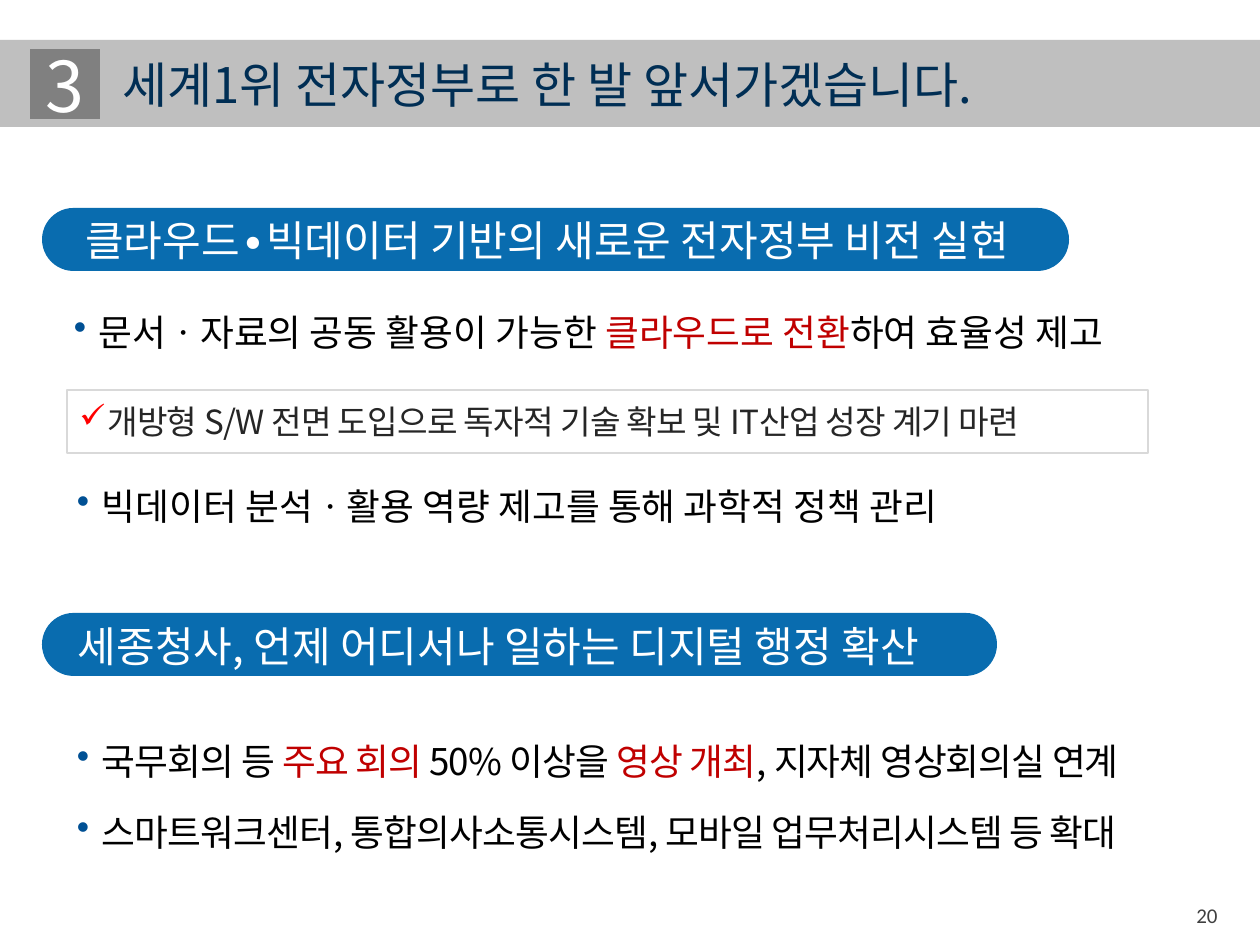
import pptx
import pptx.util
import pptx.dml.color
import pptx.enum.shapes
import pptx.enum.text
import pptx.oxml
import pptx.oxml.ns

RGB = pptx.dml.color.RGBColor
KIND = pptx.enum.shapes.MSO_SHAPE
ALIGN = pptx.enum.text.PP_ALIGN
ANCHOR = pptx.enum.text.MSO_ANCHOR
NAVY = RGB(0x00, 0x2E, 0x54)
BLUE = RGB(0x09, 0x6C, 0xAF)
DOT = RGB(0x00, 0x50, 0x94)
WHITE = RGB(0xFF, 0xFF, 0xFF)
BLACK = RGB(0x00, 0x00, 0x00)
CRIMSON = RGB(0xC0, 0x00, 0x00)
RED = RGB(0xFF, 0x00, 0x00)
INK = RGB(0x26, 0x26, 0x26)
DARK = RGB(0x40, 0x40, 0x40)
GRAY = RGB(0x80, 0x80, 0x80)
SILVER = RGB(0xBF, 0xBF, 0xBF)
PALE = RGB(0xD9, 0xD9, 0xD9)
KOREAN = "Noto Sans CJK KR"
PX = 914400 / 126


def place(kind, box, fill, line=None):
    shape = slide.shapes.add_shape(kind, *[round(n * PX) for n in box])
    shape.shadow.inherit = False
    shape.fill.solid()
    shape.fill.fore_color.rgb = fill
    if line:
        shape.line.color.rgb = line
        shape.line.width = pptx.util.Pt(1)
    else:
        shape.line.fill.background()
    return shape


def write(para, parts, size, color, face=KOREAN, bullet=None, track=0):
    para.alignment = ALIGN.LEFT
    para.font.size = pptx.util.Pt(size)
    para.font.name = face
    para.font.color.rgb = color
    props = para._p.get_or_add_pPr()
    mark = props.find(pptx.oxml.ns.qn("a:defRPr"))
    space = pptx.oxml.ns.nsdecls("a")
    latin = mark.find(pptx.oxml.ns.qn("a:latin"))
    latin.addnext(pptx.oxml.parse_xml(f'<a:ea {space} typeface="{face}"/>'))
    if bullet:
        sign, tint, indent = bullet
        props.set("marL", str(round(indent * PX)))
        props.set("indent", str(-round(indent * PX)))
        for xml in (f'<a:buClr {space}><a:srgbClr val="{tint}"/></a:buClr>',
                    f'<a:buChar {space} char="{sign}"/>'):
            mark.addprevious(pptx.oxml.parse_xml(xml))
    for words, tone in parts:
        run = para.add_run()
        run.text = words
        if tone:
            run.font.color.rgb = tone
        if track:
            run._r.get_or_add_rPr().set("spc", str(track))


deck = pptx.Presentation()
deck.slide_width = round(1260 * PX)
deck.slide_height = round(945 * PX)
slide = deck.slides.add_slide(deck.slide_layouts[5])

band = place(KIND.RECTANGLE, (0, 40, 1260, 87), SILVER)
slide.shapes._spTree.insert(2, band._element)
title = slide.shapes.title
title.left, title.top, title.width, title.height = [
    round(n * PX) for n in (110, 48, 928, 72)]
title.text_frame.vertical_anchor = ANCHOR.MIDDLE
write(title.text_frame.paragraphs[0],
      [("세계1위 전자정부로 한 발 앞서가겠습니다.", None)], 28, NAVY)

badge = place(KIND.RECTANGLE, (30, 49, 70, 70), GRAY)
badge.text_frame.vertical_anchor = ANCHOR.MIDDLE
write(badge.text_frame.paragraphs[0], [("3", None)], 40, WHITE)
badge.text_frame.paragraphs[0].alignment = ALIGN.CENTER

for top, width in ((208, 1027), (613, 955)):
    pill = place(KIND.ROUNDED_RECTANGLE, (42, top, width, 63), BLUE)
    pill.adjustments[0] = 0.5

note = place(KIND.RECTANGLE, (67, 390, 1081, 63), WHITE, PALE)
note.text_frame.vertical_anchor = ANCHOR.MIDDLE
note.text_frame.word_wrap = True
write(note.text_frame.paragraphs[0],
      [("개방형 S/W 전면 도입으로 독자적 기술 확보 및 IT산업 성장 계기 마련", None)],
      19, INK, bullet=("✓", RED, 28), track=-40)

point = ("•", DOT, 25)
texts = [
    ((76, 214, 960, 51), 24, WHITE, None, 0,
     [[(" 클라우드∙빅데이터 기반의 새로운 전자정부 비전 실현", None)]]),
    ((78, 620, 883, 51), 24, WHITE, None, 0,
     [[("세종청사, 언제 어디서나 일하는 디지털 행정 확산", None)]]),
    ((74, 313, 1074, 44), 21, BLACK, point, 0,
     [[("문서ㆍ자료의 공동 활용이 가능한 ", None), ("클라우드로 전환", CRIMSON),
       ("하여 효율성 제고", None)]]),
    ((77, 488, 941, 44), 21, BLACK, point, 0,
     [[("빅데이터 분석ㆍ활용 역량 제고를 통해 과학적 정책 관리", None)]]),
    ((77, 716, 1088, 168), 21, BLACK, point, -50,
     [[("국무회의 등 ", None), ("주요 회의 ", CRIMSON), ("50% 이상을 ", None),
       ("영상 개최", CRIMSON), (", 지자체 영상회의실 연계", None)],
      [("스마트워크센터, 통합의사소통시스템, 모바일 업무처리시스템 등 확대", None)]]),
]
for box, size, color, bullet, track, lines in texts:
    frame = slide.shapes.add_textbox(*[round(n * PX) for n in box]).text_frame
    frame.word_wrap = True
    frame.vertical_anchor = ANCHOR.MIDDLE
    frame.margin_left = frame.margin_right = 0
    frame.margin_top = frame.margin_bottom = 0
    for index, parts in enumerate(lines):
        para = frame.add_paragraph() if index else frame.paragraphs[0]
        write(para, parts, size, color, bullet=bullet, track=track)
        if bullet:
            para.line_spacing = 0.83
        if index:
            para.space_before = pptx.util.Pt(20)

page = slide.shapes.add_textbox(*[round(n * PX) for n in (1184, 896, 50, 38)])
page.text_frame.word_wrap = True
write(page.text_frame.paragraphs[0], [("20", None)], 12, DARK, "Calibri")

deck.save("out.pptx")
